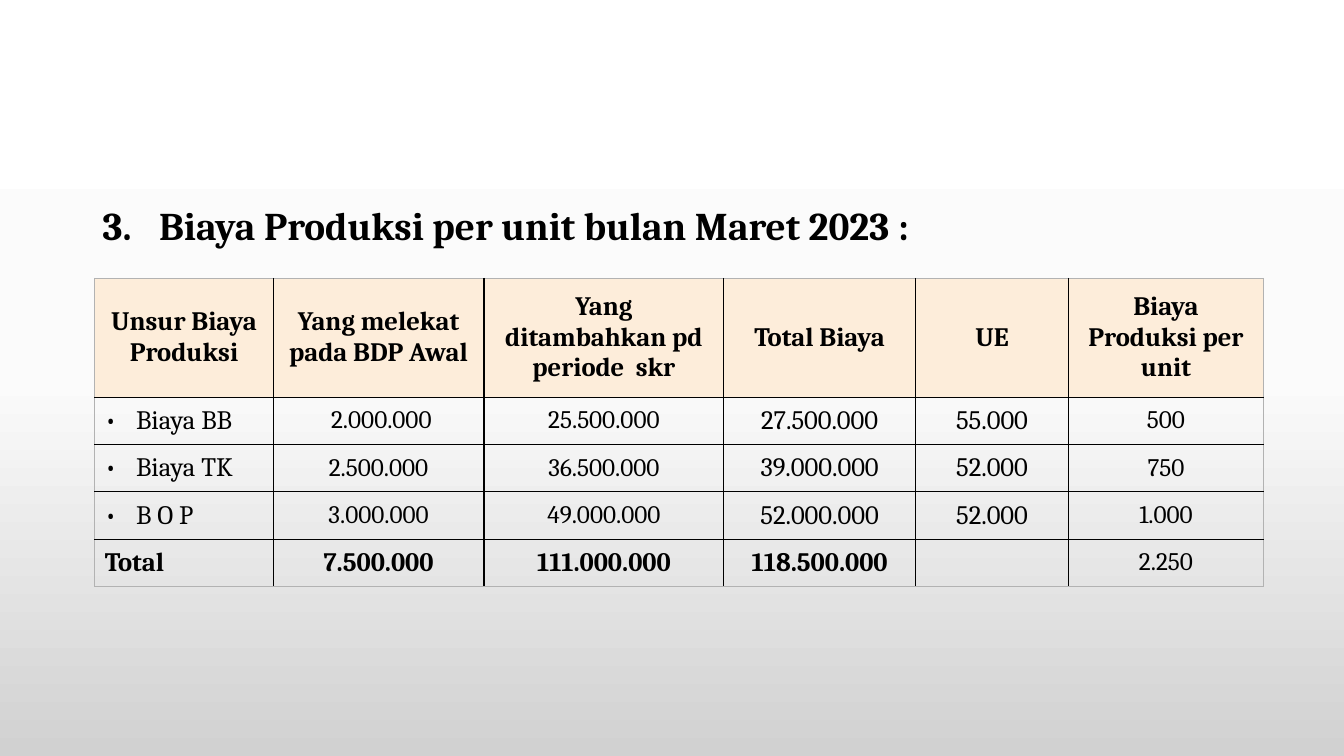
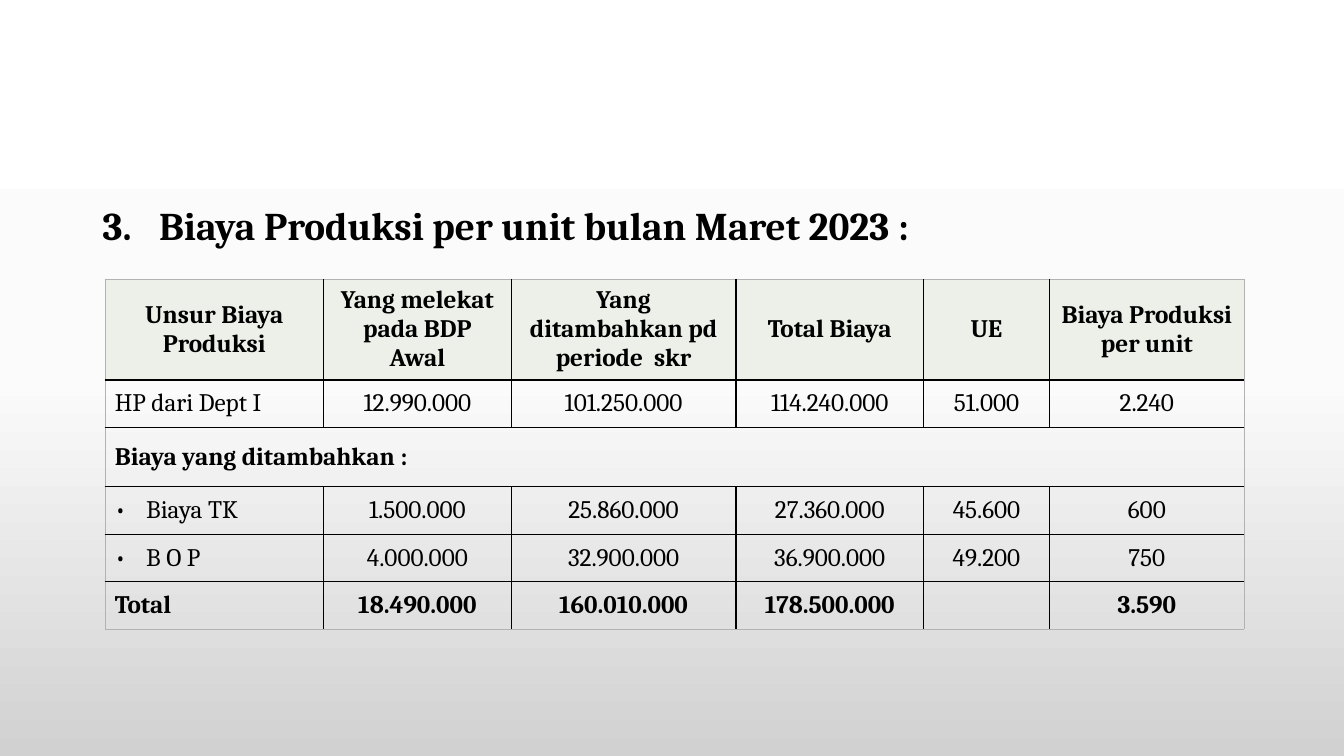
import copy
import pptx
import pptx.dml.color
import pptx.enum.text
import pptx.oxml
import pptx.oxml.ns
import pptx.util
from pptx.util import Inches

COLORS = {
    "text": "000000",
    "grid": "000000",
    "frame": "B2B2B2",
    "march_head": "FDEDDA",
    "dept_head": "EDF0E9",
}
BACKDROP = [(0, "FFFFFF"), (0.5, "FBFBFB"), (1, "D1D1D1")]
FONT = "Cambria"
TITLE = "Biaya Produksi per unit bulan Maret 2023 :"
PLAIN_TABLE = "{2D5ABB26-0587-4C30-8999-92F81FD0307C}"
A_NS = pptx.oxml.ns.nsdecls("a")
HEADINGS = [
    "Unsur Biaya Produksi", "Yang melekat pada BDP Awal",
    "Yang ditambahkan pd periode  skr", "Total Biaya", "UE",
    "Biaya Produksi per unit",
]
BULLETED = {"Biaya BB", "Biaya TK", "B O P"}

COST_TABLES = [
    {
        "left": 0.94, "top": 2.76, "head_fill": COLORS["march_head"],
        "widths": [1.77, 2.09, 2.38, 1.9, 1.52, 1.93],
        "heights": [1.18, 0.47, 0.47, 0.47, 0.47],
        "bold_size": 19, "sizes": [19, 18, 18, 19, 19, 18],
        "bold_unit_total": False,
        "rows": [
            HEADINGS,
            ["Biaya BB", " 2.000.000", "25.500.000", "27.500.000", "55.000", "500"],
            ["Biaya TK", "2.500.000", "36.500.000", "39.000.000", "52.000", "750"],
            ["B O P", "3.000.000", "49.000.000", "52.000.000", "52.000", "1.000"],
            ["Total", "7.500.000", "111.000.000", "118.500.000", "", "2.250"],
        ],
    },
    {
        "left": 1.04, "top": 2.77, "head_fill": COLORS["dept_head"],
        "widths": [2.17, 1.86, 2.23, 1.86, 1.25, 1.93],
        "heights": [0.97, 0.47, 0.59, 0.47, 0.47, 0.47],
        "bold_size": 18, "sizes": [18] * 6,
        "bold_unit_total": True,
        "rows": [
            HEADINGS,
            ["HP dari Dept I", "12.990.000", "101.250.000", "114.240.000", "51.000", "2.240"],
            ["Biaya yang ditambahkan :"],
            ["Biaya TK", "1.500.000", "25.860.000", "27.360.000", "45.600", "600"],
            ["B O P", "4.000.000", "32.900.000", "36.900.000", "49.200", "750"],
            ["Total", "18.490.000", "160.010.000", "178.500.000", "", "3.590"],
        ],
    },
]


def add_text(paragraph, text, size, bold, indent=0, bullet=None):
    """Add one run, with a hanging bullet or number if given."""
    if bullet:
        props = paragraph._p.get_or_add_pPr()
        props.set("marL", str(Inches(indent)))
        props.set("indent", str(-Inches(indent)))
        props.append(pptx.oxml.parse_xml(f'<a:buFont {A_NS} typeface="{FONT}"/>'))
        props.append(pptx.oxml.parse_xml(bullet))
    run = paragraph.add_run()
    run.text = text
    run.font.name = FONT
    run.font.size = pptx.util.Pt(size)
    run.font.bold = bold
    run.font.color.rgb = pptx.dml.color.RGBColor.from_string(COLORS["text"])


def set_borders(cell, outer):
    """Draw black inner lines and a thin grey outer frame."""
    for place, (side, is_outer) in enumerate(outer.items()):
        color = COLORS["frame"] if is_outer else COLORS["grid"]
        width = pptx.util.Pt(0.5 if is_outer else 1)
        line = pptx.oxml.parse_xml(
            f'<a:ln{side} {A_NS} w="{width}"><a:solidFill>'
            f'<a:srgbClr val="{color}"/></a:solidFill></a:ln{side}>')
        cell._tc.get_or_add_tcPr().insert(place, line)


prs = pptx.Presentation()
prs.slide_width = Inches(13.33)
prs.slide_height = Inches(7.5)

# Shared background gradient
backdrop = prs.slide_master.background.fill
backdrop.gradient()
backdrop.gradient_angle = 270
stop_list = prs.slide_master.element.find(".//" + pptx.oxml.ns.qn("a:gsLst"))
stop_list.append(copy.deepcopy(stop_list[-1]))
for stop, (position, color) in zip(backdrop.gradient_stops, BACKDROP):
    stop.position = position
    stop.color.rgb = pptx.dml.color.RGBColor.from_string(color)

for costs in COST_TABLES:
    slide = prs.slides.add_slide(prs.slide_layouts[6])

    # Numbered title
    title = slide.shapes.add_textbox(Inches(0.92), Inches(2), Inches(11.5), Inches(0.6))
    title.text_frame.word_wrap = True
    heading = title.text_frame.paragraphs[0]
    heading.line_spacing = 0.9
    add_text(heading, TITLE, 28, True, 0.56,
             f'<a:buAutoNum {A_NS} type="arabicPeriod" startAt="3"/>')

    # Cost table
    rows, widths, heights = costs["rows"], costs["widths"], costs["heights"]
    last_row, last_col = len(rows) - 1, len(widths) - 1
    frame = slide.shapes.add_table(
        len(rows), len(widths), Inches(costs["left"]), Inches(costs["top"]),
        Inches(sum(widths)), Inches(sum(heights)))
    table = frame.table
    table.first_row = table.horz_banding = False
    table._tbl.find(".//" + pptx.oxml.ns.qn("a:tableStyleId")).text = PLAIN_TABLE
    for column, width in zip(table.columns, widths):
        column.width = Inches(width)

    for r, values in enumerate(rows):
        table.rows[r].height = Inches(heights[r])
        is_section = len(values) == 1
        if is_section:
            table.cell(r, 0).merge(table.cell(r, last_col))
        for c, value in enumerate(values):
            cell = table.cell(r, c)
            cell.vertical_anchor = pptx.enum.text.MSO_ANCHOR.MIDDLE
            if r == 0:
                cell.fill.solid()
                cell.fill.fore_color.rgb = pptx.dml.color.RGBColor.from_string(costs["head_fill"])
            else:
                cell.fill.background()
            set_borders(cell, {"L": c == 0, "R": is_section or c == last_col,
                               "T": r == 0, "B": r == last_row})
            if not value:
                continue
            bold = r in (0, last_row) or is_section
            if (r, c) == (last_row, last_col):
                bold = costs["bold_unit_total"]
            paragraph = cell.text_frame.paragraphs[0]
            if r == 0 or c > 0:
                paragraph.alignment = pptx.enum.text.PP_ALIGN.CENTER
            bullet = f'<a:buChar {A_NS} char="•"/>' if value in BULLETED else None
            size = costs["bold_size"] if bold else costs["sizes"][c]
            add_text(paragraph, value, size, bold, 0.31, bullet)

prs.save("out.pptx")
